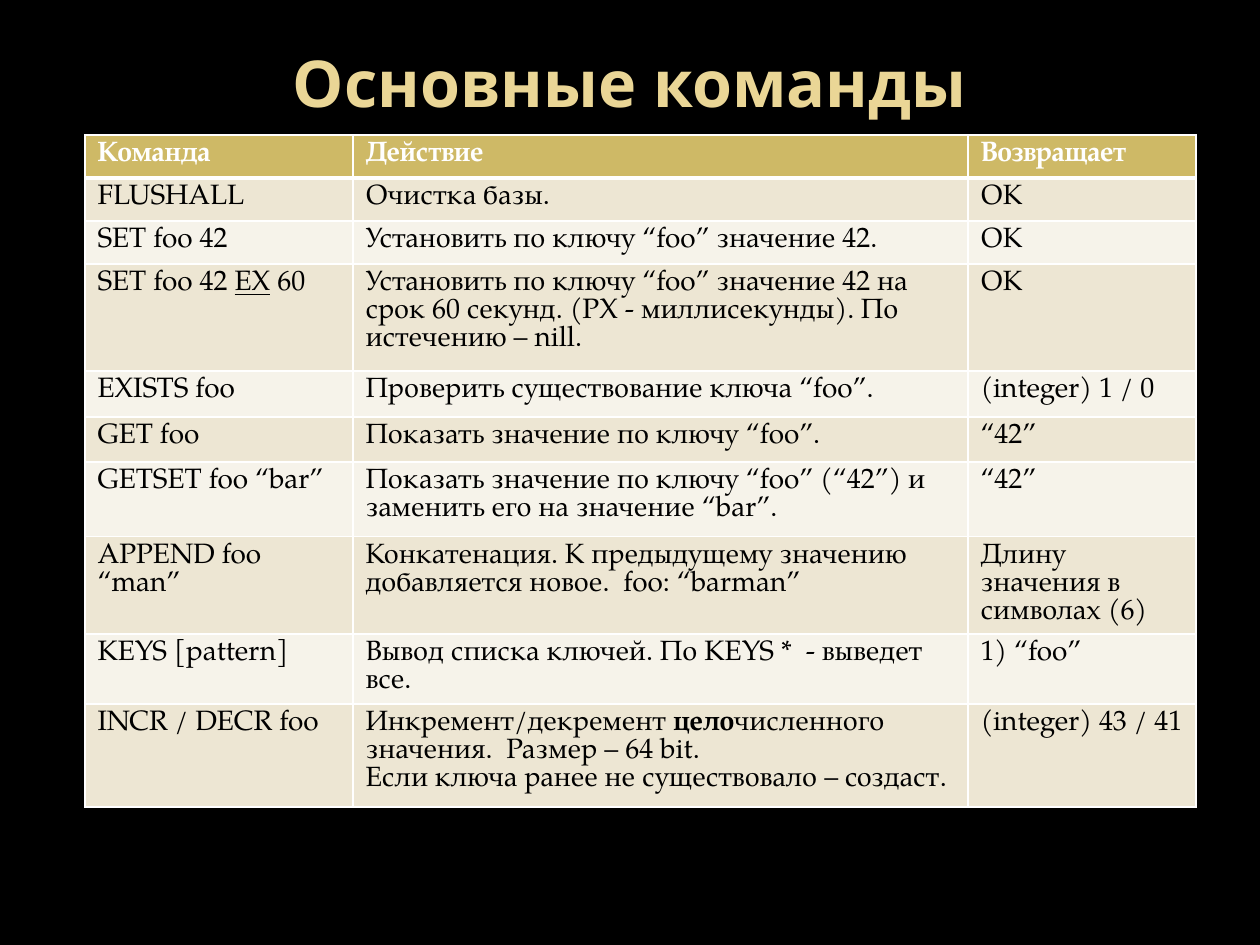
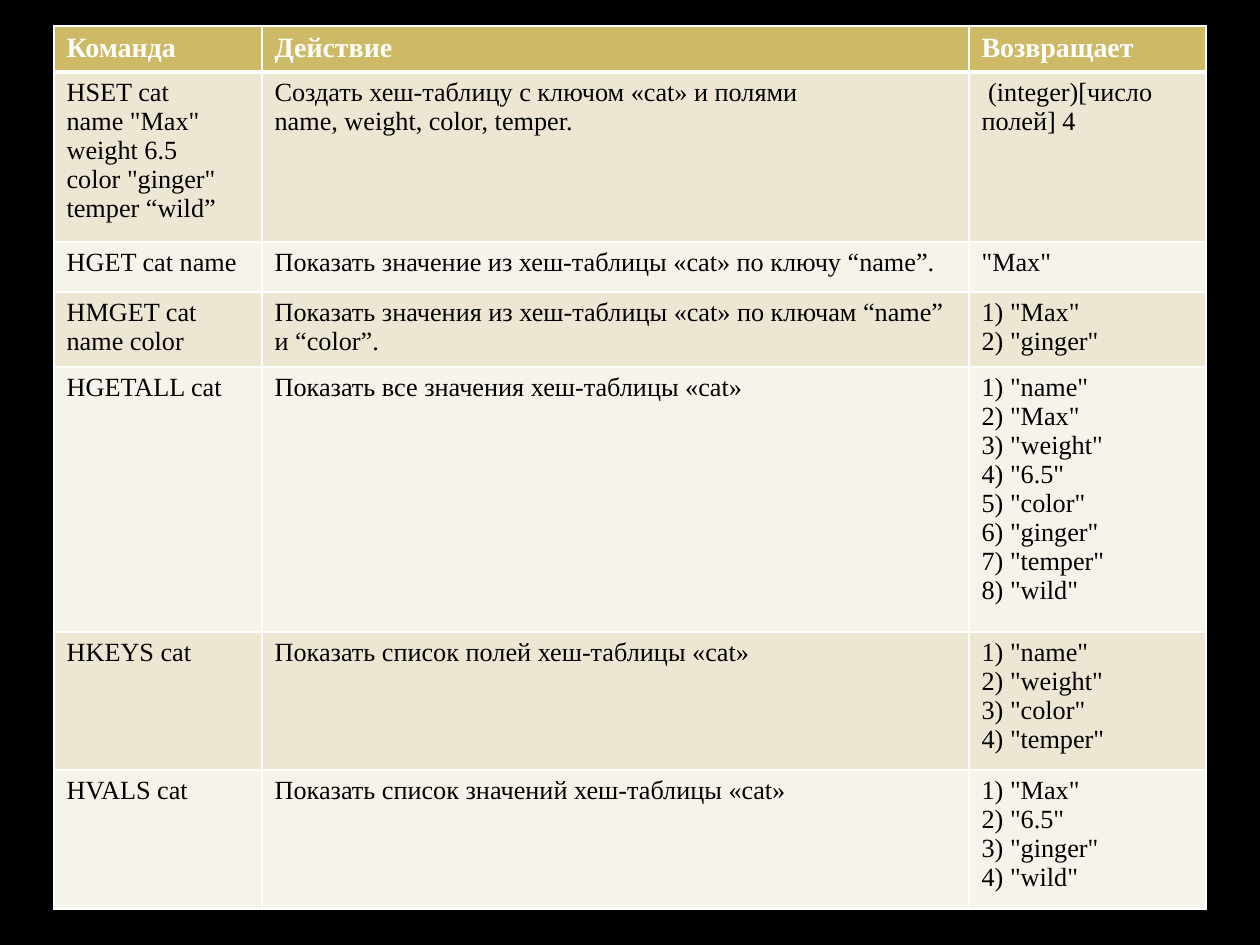
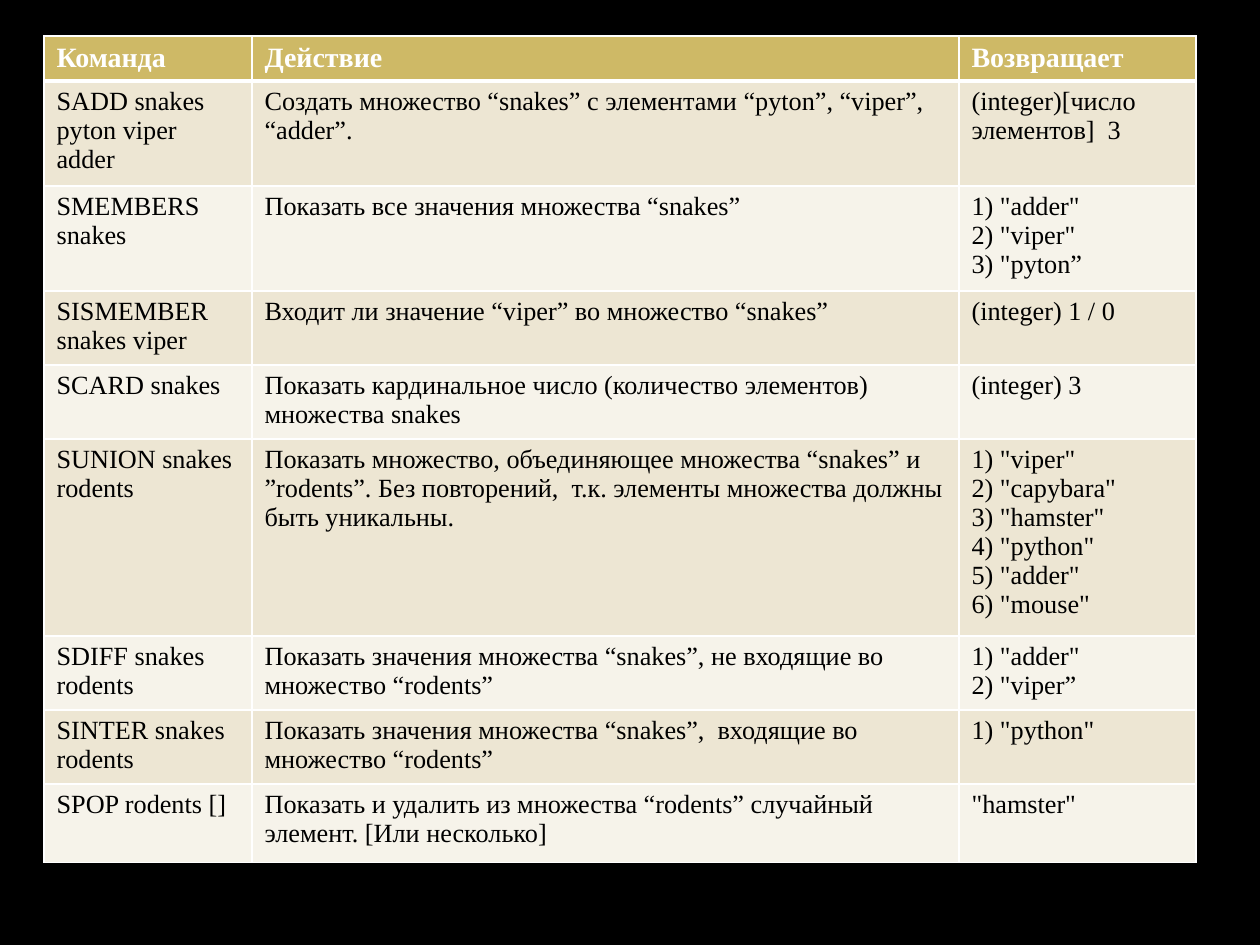
from lxml import etree
from pptx import Presentation
from pptx.dml.color import RGBColor
from pptx.enum.text import MSO_ANCHOR, PP_ALIGN
from pptx.oxml.ns import qn
from pptx.util import Emu, Pt

PX_PER_INCH = 126
TITLE_ONLY, BLANK = 5, 6

# Shared colours and fonts
BLACK = "000000"
WHITE = "FFFFFF"
TITLE_GOLD = "EAD696"
HEADER_GOLD = "CEB966"
BANDS = ("EDE6D3", "F6F3EA")
TITLE_FONT = "Noto Sans"
PAGELLA = "TeX Gyre Pagella"
TIMES = "Times New Roman"

# Characters that enclose emphasised words in the cell texts
MARKS = {"_": "underline", "#": "bold"}

HEADER = ("Команда", "Действие", "Возвращает")

BASIC_COMMANDS = [
    ("FLUSHALL", "Очистка базы.", "ОК"),
    ("SET foo 42", "Установить по ключу “foo” значение 42.", "ОК"),
    ("SET foo 42 _EX_ 60",
     "Установить по ключу “foo” значение 42 на срок 60 секунд. "
     "(PX - миллисекунды). По истечению – nill.", "ОК"),
    ("EXISTS foo", "Проверить существование ключа “foo”.", "(integer) 1 / 0"),
    ("GET foo", "Показать значение по ключу “foo”.", "“42”"),
    ("GETSET foo “bar”",
     "Показать значение по ключу “foo” (“42”) и заменить его на значение “bar”.",
     "“42”"),
    ("APPEND foo “man”",
     "Конкатенация. К предыдущему значению добавляется новое.  foo: “barman”",
     "Длину значения в символах (6)"),
    ("KEYS [pattern]", "Вывод списка ключей. По KEYS *  - выведет все.", "1) “foo”"),
    ("INCR / DECR foo",
     "Инкремент/декремент #цело#численного значения.  Размер – 64 bit.\n"
     "Если ключа ранее не существовало – создаст.", "(integer) 43 / 41"),
]

HASH_COMMANDS = [
    ('HSET cat\nname "Max"\nweight 6.5\ncolor "ginger"\ntemper “wild”',
     "Создать хеш-таблицу с ключом «cat» и полями\nname, weight, color, temper.",
     " (integer)[число полей] 4"),
    ("HGET cat name", "Показать значение из хеш-таблицы «cat» по ключу “name”.", '"Max"'),
    ("HMGET cat name color",
     "Показать значения из хеш-таблицы «cat» по ключам “name”  и “color”.",
     '1) "Max"\n2) "ginger"'),
    ("HGETALL cat", "Показать все значения хеш-таблицы «cat»",
     '1) "name"\n2) "Max"\n3) "weight"\n4) "6.5"\n'
     '5) "color"\n6) "ginger"\n7) "temper"\n8) "wild"'),
    ("HKEYS cat", "Показать список полей хеш-таблицы «cat»",
     '1) "name"\n2) "weight"\n3) "color"\n4) "temper"'),
    ("HVALS cat", "Показать список значений хеш-таблицы «cat»",
     '1) "Max"\n2) "6.5"\n3) "ginger"\n4) "wild"'),
]

SET_COMMANDS = [
    ("SADD snakes pyton viper adder",
     "Создать множество “snakes” с элементами “pyton”, “viper”, “adder”.",
     "(integer)[число элементов]  3"),
    ("SMEMBERS snakes", "Показать все значения множества “snakes”",
     '1) "adder"\n2) "viper"\n3) "pyton”'),
    ("SISMEMBER snakes viper", "Входит ли значение “viper” во множество “snakes”",
     "(integer) 1 / 0"),
    ("SCARD snakes",
     "Показать кардинальное число (количество элементов) множества snakes",
     "(integer) 3"),
    ("SUNION snakes rodents",
     "Показать множество, объединяющее множества “snakes” и ”rodents”. "
     "Без повторений,  т.к. элементы множества должны быть уникальны.",
     '1) "viper"\n2) "capybara"\n3) "hamster"\n4) "python"\n5) "adder"\n6) "mouse"'),
    ("SDIFF snakes rodents",
     "Показать значения множества “snakes”, не входящие во множество “rodents”",
     '1) "adder"\n2) "viper”'),
    ("SINTER snakes rodents",
     "Показать значения множества “snakes”,  входящие во множество “rodents”",
     '1) "python"'),
    ("SPOP rodents []",
     "Показать и удалить из множества “rodents” случайный элемент. [Или несколько]",
     '"hamster"'),
]


def px(length):
    return Emu(round(length * 914400 / PX_PER_INCH))


def rgb(color):
    return RGBColor.from_string(color)


def format_font(font, name, size, color, bold):
    font.name = name
    font.size = Pt(size)
    font.color.rgb = rgb(color)
    font.bold = bold


def add_title(slide, text):
    title = slide.shapes.title
    title.left, title.top, title.width, title.height = px(63), px(38), px(1134), px(87)
    frame = title.text_frame
    frame.text = text
    frame.vertical_anchor = MSO_ANCHOR.MIDDLE
    paragraph = frame.paragraphs[0]
    paragraph.alignment = PP_ALIGN.CENTER
    format_font(paragraph.runs[0].font, TITLE_FONT, 36.9, TITLE_GOLD, True)


def set_borders(cell, top, bottom):
    """Draw white cell borders; top and bottom widths are in points."""
    properties = cell._tc.get_or_add_tcPr()
    for side, width in (("L", 1), ("R", 1), ("T", top), ("B", bottom)):
        line = etree.SubElement(properties, qn(f"a:ln{side}"), w=str(Pt(width)))
        fill = etree.SubElement(line, qn("a:solidFill"))
        etree.SubElement(fill, qn("a:srgbClr"), val=WHITE)


def write_paragraph(paragraph, text, name, size, color, bold):
    """Write one paragraph, emphasising the words between marks."""
    mark = next((mark for mark in MARKS if mark in text), None)
    parts = text.split(mark) if mark else [text]
    for index, part in enumerate(parts):
        run = paragraph.add_run()
        run.text = part
        format_font(run.font, name, size, color, bold)
        if index % 2:
            setattr(run.font, MARKS[mark], True)


def write_cell(cell, text, *style):
    frame = cell.text_frame
    for index, line in enumerate(text.split("\n")):
        paragraph = frame.add_paragraph() if index else frame.paragraphs[0]
        write_paragraph(paragraph, line, *style)


def add_command_table(slide, left, top, columns, heights, commands, font, size):
    rows = [HEADER, *commands]
    table = slide.shapes.add_table(len(rows), len(columns), px(left), px(top),
                                   px(sum(columns)), px(sum(heights))).table
    table.horz_banding = False
    for column, width in zip(table.columns, columns):
        column.width = px(width)
    for index, (row, height, texts) in enumerate(zip(table.rows, heights, rows)):
        row.height = px(height)
        is_header = index == 0
        fill = HEADER_GOLD if is_header else BANDS[(index - 1) % 2]
        style = (font, 16, WHITE, True) if is_header else (font, size, BLACK, False)
        for cell, text in zip(row.cells, texts):
            # The thick rule lies between the header and the first command
            set_borders(cell, 3 if index == 1 else 1, 3 if is_header else 1)
            cell.fill.solid()
            cell.fill.fore_color.rgb = rgb(fill)
            write_cell(cell, text, *style)


def main():
    presentation = Presentation()
    presentation.slide_width, presentation.slide_height = px(1260), px(945)
    layouts = presentation.slide_layouts
    background = presentation.slide_master.background.fill
    background.solid()
    background.fore_color.rgb = rgb(BLACK)

    # Basic commands
    slide = presentation.slides.add_slide(layouts[TITLE_ONLY])
    add_title(slide, "Основные команды")
    add_command_table(slide, 85, 135, (268, 615, 228),
                      (43, 43, 43, 107, 46, 45, 75, 96, 70, 103),
                      BASIC_COMMANDS, PAGELLA, 16)

    # Hash and set commands
    narrow_columns = (208, 707, 237)
    slide = presentation.slides.add_slide(layouts[BLANK])
    add_command_table(slide, 54, 26, narrow_columns,
                      (46, 170, 50, 75, 265, 138, 139), HASH_COMMANDS, TIMES, 15)
    slide = presentation.slides.add_slide(layouts[BLANK])
    add_command_table(slide, 44, 36, narrow_columns,
                      (45, 105, 105, 74, 74, 197, 74, 74, 79), SET_COMMANDS, TIMES, 15)

    presentation.save("out.pptx")


if __name__ == "__main__":
    main()
